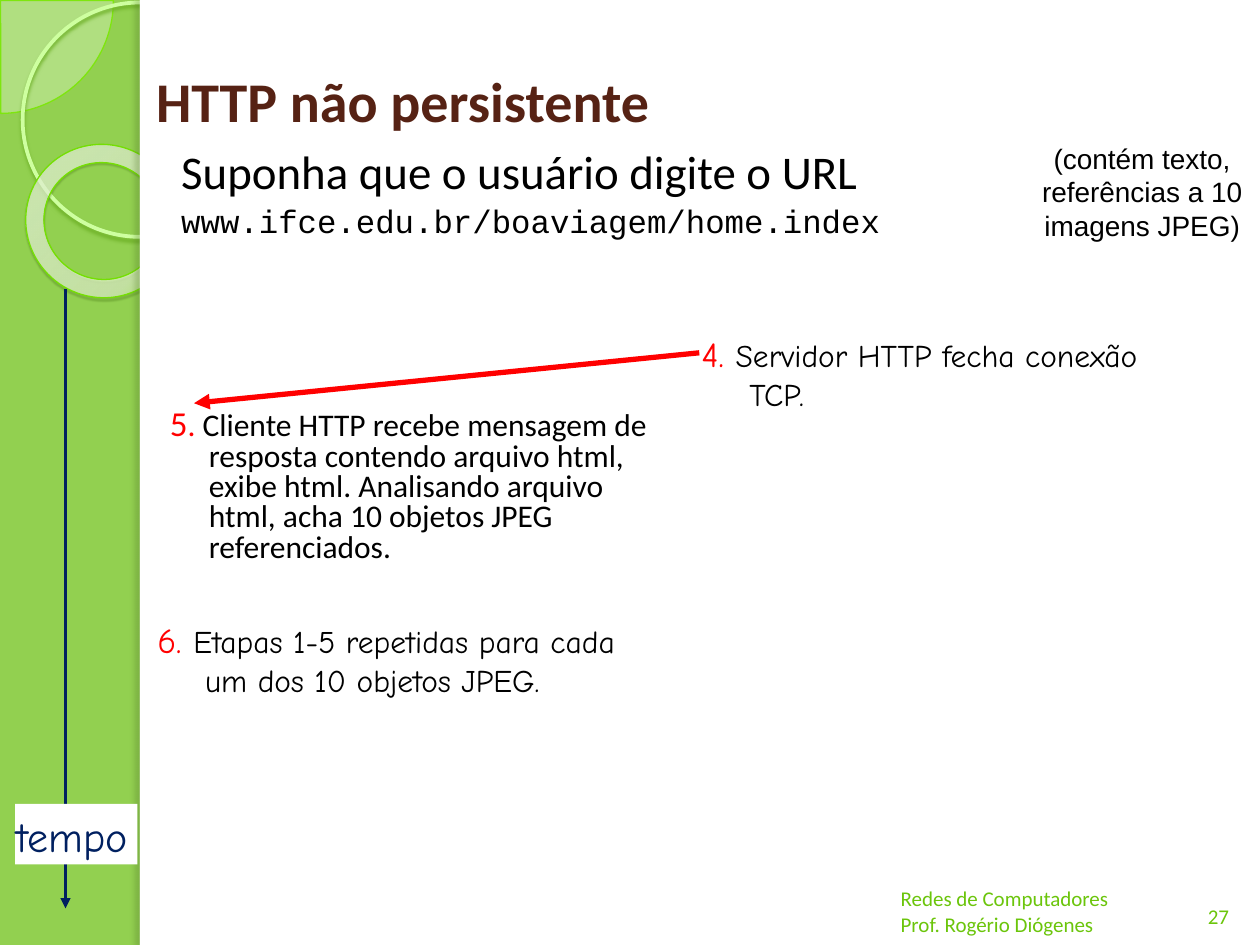
from lxml import etree
from pptx import Presentation
from pptx.dml.color import RGBColor
from pptx.enum.shapes import MSO_CONNECTOR, MSO_SHAPE
from pptx.enum.text import MSO_ANCHOR, PP_ALIGN
from pptx.oxml.ns import qn
from pptx.util import Inches, Pt

STRAIGHT = MSO_CONNECTOR.STRAIGHT
PIE, ELLIPSE = MSO_SHAPE.CHORD, MSO_SHAPE.OVAL
PIE = MSO_SHAPE.PIE
DONUT, RECTANGLE = MSO_SHAPE.DONUT, MSO_SHAPE.RECTANGLE
TOP, MIDDLE, BOTTOM = MSO_ANCHOR.TOP, MSO_ANCHOR.MIDDLE, MSO_ANCHOR.BOTTOM
LEFT, CENTER = PP_ALIGN.LEFT, PP_ALIGN.CENTER

COLUMNS, ROWS, CELL = 100, 75, 0.1
BLACK, WHITE, RED, NAVY = "000000", "FFFFFF", "FF0000", "002060"
GREEN, FOOTER, TITLE = "92D050", "6BC50B", "562214"
BODY, HAND, CODE, PLAIN = "Calibri", "Comic Neue", "Courier New", "Arial"


def cells(*counts):
    """Turn counts of grid cells into slide lengths."""
    return [Inches(count * CELL) for count in counts]


def color(value):
    """Turn a hex string into a colour."""
    return RGBColor.from_string(value)


def add_node(parent, tag, **attributes):
    """Append a DrawingML element to its parent."""
    node = etree.SubElement(parent, qn(f"a:{tag}"))
    for name, value in attributes.items():
        node.set(name, str(value))
    return node


def add_tint(parent, value, opacity):
    """Append a colour with an opacity in percent."""
    tint = add_node(parent, "srgbClr", val=value)
    add_node(tint, "alpha", val=opacity * 1000)


def add_shadow(shape, value, opacity, blur, distance, angle):
    """Give a shape an outer shadow."""
    effects = shape._element.spPr.find(qn("a:effectLst"))
    shadow = add_node(effects, "outerShdw", blurRad=Pt(blur), dist=Pt(distance),
                      dir=angle * 60000, algn="tl", rotWithShape=0)
    add_tint(shadow, value, opacity)


def add_figure(slide, kind, area, fill=None, line=None, width=0.75, shadow=None):
    """Add a preset shape with optional fill, outline and shadow."""
    shape = slide.shapes.add_shape(kind, *cells(*area))
    if fill:
        shape.fill.solid()
        shape.fill.fore_color.rgb = color(fill)
    else:
        shape.fill.background()
    if line:
        shape.line.color.rgb = color(line)
        shape.line.width = Pt(width)
    else:
        shape.line.fill.background()
    shape.shadow.inherit = False
    if shadow:
        add_shadow(shape, *shadow)
    return shape


def fill_radial(shape, stops):
    """Fill a shape with a translucent circular gradient."""
    old_fill = shape._element.spPr.find(qn("a:noFill"))
    gradient = etree.Element(qn("a:gradFill"), rotWithShape="1")
    stop_list = add_node(gradient, "gsLst")
    for position, value, opacity in stops:
        add_tint(add_node(stop_list, "gs", pos=position * 1000), value, opacity)
    circle = add_node(gradient, "path", path="circle")
    add_node(circle, "fillToRect", r=100000, b=100000)
    old_fill.getparent().replace(old_fill, gradient)


def add_arrow(slide, start, end, value, width):
    """Add a straight line with an arrowhead at its end."""
    arrow = slide.shapes.add_connector(STRAIGHT, *cells(*start, *end))
    arrow.line.color.rgb = color(value)
    arrow.line.width = Pt(width)
    add_node(arrow.line._get_or_add_ln(), "tailEnd", type="triangle")
    add_node(arrow._element.spPr, "effectLst")


def add_text_box(slide, area, anchor=TOP):
    """Add an empty wrapping text box and return its frame."""
    frame = slide.shapes.add_textbox(*cells(*area)).text_frame
    frame.word_wrap = True
    frame.vertical_anchor = anchor
    return frame


def add_paragraph(frame, align=LEFT, margin=0, indent=0, spacing=None, before=0):
    """Return a formatted paragraph, using the first one while it is empty."""
    first = frame.paragraphs[0]
    paragraph = frame.add_paragraph() if first.runs else first
    paragraph.alignment = align
    paragraph.space_before = Pt(before)
    if spacing:
        paragraph.line_spacing = spacing
    properties = paragraph._p.get_or_add_pPr()
    properties.set("marL", str(Inches(margin)))
    properties.set("indent", str(Inches(indent)))
    return paragraph


def add_text(paragraph, text, font=BODY, size=18, fill=BLACK, bold=False):
    """Add one run of text with its format."""
    run = paragraph.add_run()
    run.text = text
    run.font.name = font
    run.font.size = Pt(size)
    run.font.bold = bold
    run.font.color.rgb = color(fill)


def add_lines(slide, area, lines, anchor=TOP, align=LEFT, **style):
    """Add a text box whose lines share one format."""
    frame = add_text_box(slide, area, anchor)
    for line in lines:
        add_text(add_paragraph(frame, align), line, **style)


def add_step(slide, area, label, text, font=HAND, label_parts=(20,), **layout):
    """Add a numbered step with a red label and a hanging indent."""
    paragraph = add_paragraph(add_text_box(slide, area), **layout)
    for part, size in zip(label, label_parts):
        add_text(paragraph, part, font=font, size=size, fill=RED)
    add_text(paragraph, text, font=font)


def add_decoration(slide):
    """Draw the green side band with its circles and the white page."""
    pie = add_figure(slide, PIE, (-8.9, -8.9, 17.9, 17.9), "EEFEE3", "7EE60E")
    pie.adjustments[0], pie.adjustments[1] = 0, 54
    tint = pie._element.spPr.find(qn("a:solidFill"))[0]
    add_node(tint, "alpha", val=33000)
    add_figure(slide, ELLIPSE, (1.8, 0.2, 18.6, 18.6), line="CEFFA0", width=2.15,
               shadow=("6AAE22", 85, 2, 2, 90))
    donut = add_figure(slide, DONUT, (2, 11.5, 12.3, 12.1), line="74E002",
                       shadow=("335F05", 35, 1, 1.2, 75))
    donut.adjustments[0] = 0.12
    donut.rotation = 38.6
    fill_radial(donut, [(0, "F3FFE9", 70), (70, "FAFFF1", 55), (100, "85FF00", 60)])
    band = 11.1
    add_figure(slide, RECTANGLE, (band, 0, COLUMNS - band, ROWS), WHITE)
    add_figure(slide, RECTANGLE, (band, 0, 0.8, ROWS), WHITE,
               shadow=("466722", 25, 3, 3, 180))


def add_heading(slide):
    """Write the title, the example address and its side note."""
    add_lines(slide, (11.4, 1.7, 87, 12.5), ["HTTP não persistente"], MIDDLE,
              size=32, fill=TITLE, bold=True)
    frame = add_text_box(slide, (9.4, 11.7, 90.6, 8.3))
    add_text(add_paragraph(frame, margin=0.4, spacing=0.8),
             "Suponha que o usuário digite o URL", size=26.8)
    add_text(add_paragraph(frame, margin=0.4, spacing=0.8, before=6),
             "www.ifce.edu.br/boaviagem/home.index", font=CODE, size=18.5)
    add_lines(slide, (81.3, 10.7, 18.7, 9.1),
              ["(contém texto,", "referências a 10", "imagens JPEG)"],
              align=CENTER, font=PLAIN, size=16)


def add_steps(slide):
    """Write the three steps and the reply arrow."""
    hanging = {"margin": 0.38, "indent": -0.38}
    add_step(slide, (11.6, 32, 41.7, 16.8), ("5", "."),
             " Cliente HTTP recebe mensagem de resposta contendo arquivo html, "
             "exibe html. Analisando arquivo html, acha 10 objetos JPEG referenciados.",
             font=BODY, label_parts=(20, 18), margin=0.4, indent=-0.31, spacing=0.8)
    add_step(slide, (11.5, 48.6, 41.7, 7.3), ("6. ",),
             "Etapas 1-5 repetidas para cada um dos 10 objetos JPEG.", **hanging)
    add_step(slide, (54.7, 25.9, 41.7, 8), ("4. ",),
             "Servidor HTTP fecha conexão TCP.", **hanging)
    add_arrow(slide, (55.5, 28), (15.4, 32), RED, 3)


def add_timeline(slide):
    """Draw the time arrow with its label."""
    add_arrow(slide, (5.2, 22.9), (5.2, 72.1), NAVY, 1.5)
    add_figure(slide, RECTANGLE, (1.2, 63.8, 9.7, 4.8), WHITE)
    add_lines(slide, (0, 63.8, 11.5, 5.1), ["tempo"], align=CENTER,
              font=HAND, size=24, fill=NAVY)


def add_footer(slide):
    """Write the course, the teacher and the slide number."""
    add_lines(slide, (94.2, 69, 5, 5.2), ["27"], BOTTOM, CENTER, size=12, fill=FOOTER)
    add_lines(slide, (70.5, 69.6, 27.6, 5.2),
              ["Redes de Computadores", "Prof. Rogério Diógenes"],
              BOTTOM, size=12, fill=FOOTER)


def main():
    """Build the slide and save it."""
    presentation = Presentation()
    presentation.slide_width, presentation.slide_height = cells(COLUMNS, ROWS)
    slide = presentation.slides.add_slide(presentation.slide_layouts[6])
    slide.background.fill.solid()
    slide.background.fill.fore_color.rgb = color(GREEN)
    for add_part in (add_decoration, add_heading, add_steps, add_timeline, add_footer):
        add_part(slide)
    presentation.save("out.pptx")


if __name__ == "__main__":
    main()
